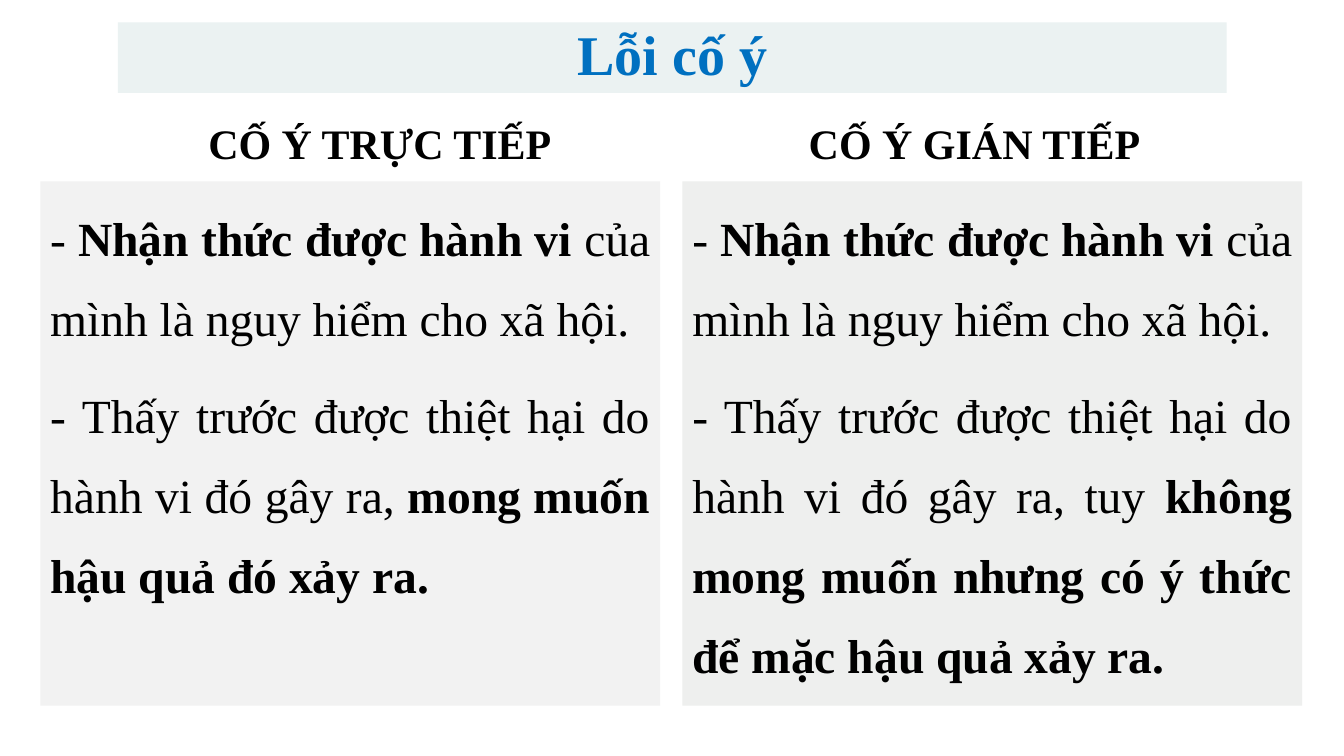
from pptx import Presentation
from pptx.dml.color import RGBColor
from pptx.enum.shapes import MSO_SHAPE as Shape
from pptx.enum.text import MSO_ANCHOR as Anchor, PP_ALIGN as Align
from pptx.util import Pt

FONT = "Times New Roman"
BLUE = RGBColor(0x00, 0x70, 0xC0)
BLACK = RGBColor(0x00, 0x00, 0x00)
MINT = RGBColor(0xEB, 0xF2, 0xF2)
LIGHT_GRAY = RGBColor(0xF2, 0xF2, 0xF2)
GRAY = RGBColor(0xEE, 0xEF, 0xEE)

AWARENESS = [
    ("- ", False),
    ("Nhận thức được hành vi ", True),
    ("của mình là nguy hiểm cho xã hội.", False),
]
FORESIGHT = "- Thấy trước được thiệt hại do hành vi đó gây ra, "

COLUMNS = [
    (84.25, "CỐ Ý TRỰC TIẾP", 28.8, LIGHT_GRAY, FORESIGHT,
     "mong muốn hậu quả đó xảy ra."),
    (509, "CỐ Ý GIÁN TIẾP", 487.4, GRAY, FORESIGHT + "tuy ",
     "không mong muốn nhưng có ý thức để mặc hậu quả xảy ra."),
]


def write_text(shape, paragraphs, size, color=BLACK, align=Align.CENTER,
               anchor=Anchor.MIDDLE, line_spacing=0.9, gap=0):
    frame = shape.text_frame
    frame.word_wrap = True
    frame.vertical_anchor = anchor
    for index, runs in enumerate(paragraphs):
        paragraph = frame.add_paragraph() if index else frame.paragraphs[0]
        paragraph.alignment = align
        paragraph.line_spacing = line_spacing
        paragraph.space_before = Pt(gap if index else 0)
        for text, bold in runs:
            run = paragraph.add_run()
            run.text = text
            run.font.name = FONT
            run.font.size = Pt(size)
            run.font.bold = bold
            run.font.color.rgb = color


def add_panel(slide, left, top, width, height, fill):
    shape = slide.shapes.add_shape(
        Shape.RECTANGLE, Pt(left), Pt(top), Pt(width), Pt(height))
    shape.shadow.inherit = False
    shape.fill.solid()
    shape.fill.fore_color.rgb = fill
    shape.line.fill.background()
    return shape


def add_heading(slide, left, text):
    box = slide.shapes.add_textbox(Pt(left), Pt(79.2), Pt(374.4), Pt(50.4))
    write_text(box, [[(text, True)]], size=30)


def main():
    presentation = Presentation()
    presentation.slide_width = Pt(960)
    presentation.slide_height = Pt(540)
    slide = presentation.slides.add_slide(presentation.slide_layouts[6])

    title = add_panel(slide, 84.25, 16, 792, 50.4, MINT)
    write_text(title, [[("Lỗi cố ý", True)]], size=40, color=BLUE)

    for heading_left, heading, panel_left, fill, foresight, intent in COLUMNS:
        add_heading(slide, heading_left, heading)
        panel = add_panel(slide, panel_left, 129.6, 442.8, 374.4, fill)
        write_text(panel, [AWARENESS, [(foresight, False), (intent, True)]],
                   size=34, align=Align.JUSTIFY, anchor=Anchor.TOP,
                   line_spacing=1.4, gap=12)

    presentation.save("out.pptx")


if __name__ == "__main__":
    main()
